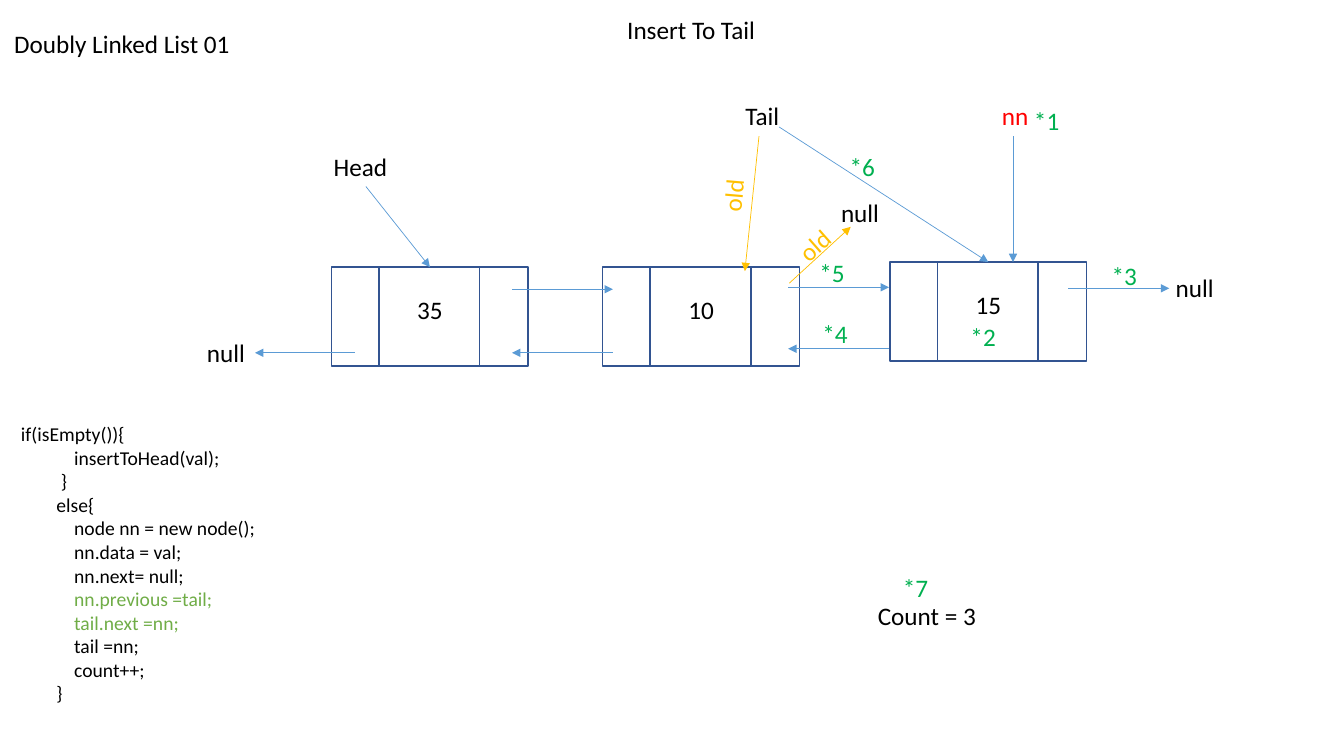
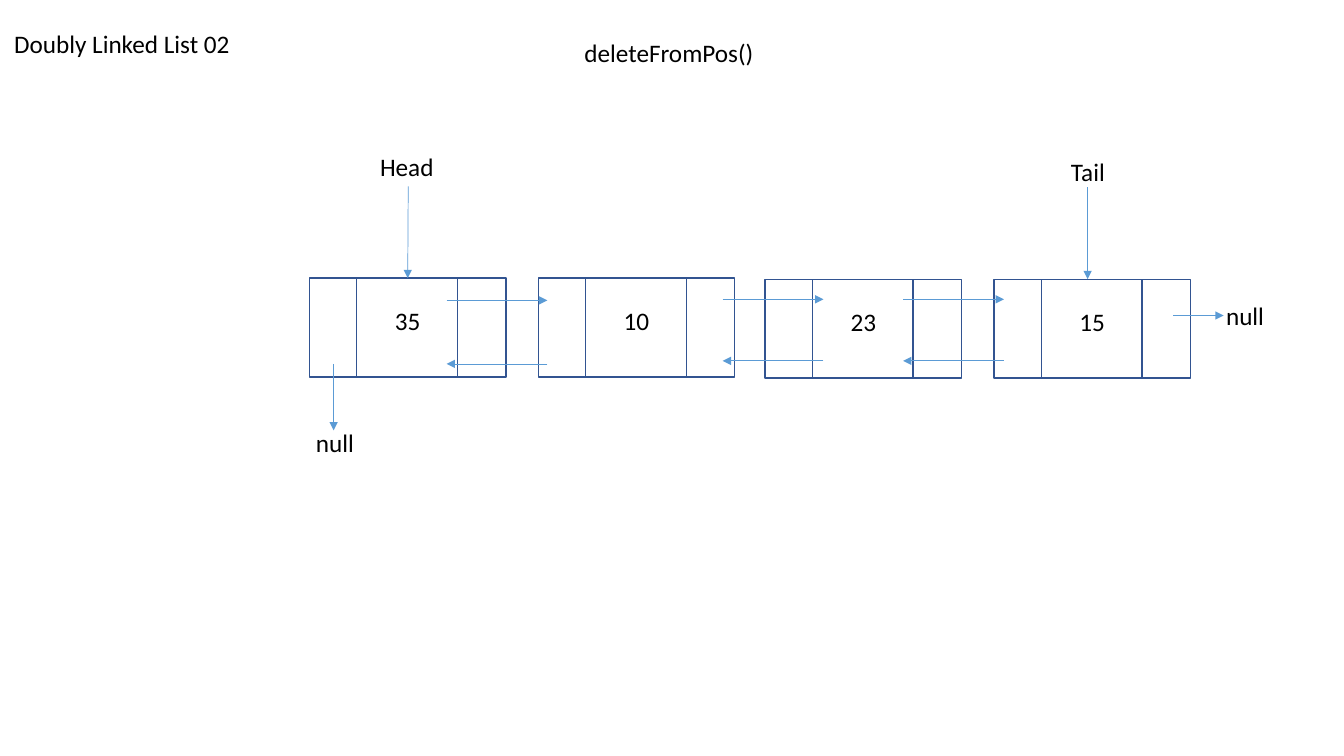
import pptx
import pptx.dml.color
import pptx.enum.shapes
import pptx.enum.text
import pptx.oxml
import pptx.oxml.ns
import pptx.util

RGBColor = pptx.dml.color.RGBColor
ALIGN = pptx.enum.text.PP_ALIGN
BLACK = RGBColor(0x00, 0x00, 0x00)
RED = RGBColor(0xFF, 0x00, 0x00)
GREEN = RGBColor(0x00, 0xB0, 0x50)
CODE_GREEN = RGBColor(0x70, 0xAD, 0x47)
ORANGE = RGBColor(0xFF, 0xC0, 0x00)
BLUE = RGBColor(0x5B, 0x9B, 0xD5)
NAVY = RGBColor(0x32, 0x54, 0x91)

TOP, BOTTOM, RIGHT = 0, 2, 3
PX = 9144

INSERT_CODE = """if(isEmpty()){
            insertToHead(val);
         }
        else{
            node nn = new node();
            nn.data = val;
            nn.next= null;
            nn.previous =tail;
            tail.next =nn;
            tail =nn;
            count++;
        }""".split("\n")
LINK_LINES = (7, 8)


class ListDiagram:
    """Draw linked-list diagrams in one style, slide by slide."""

    font_name = "Calibri"
    text_size = 18
    code_size = 14
    label_height = 40
    node_width, node_height = 195, 98
    link_length = 100

    def __init__(self, presentation):
        self.presentation = presentation
        self.slide = None

    def start_slide(self, title):
        layout = self.presentation.slide_layouts[5]
        self.slide = self.presentation.slides.add_slide(layout)
        shape = self.slide.shapes.title
        shape.left, shape.top, shape.width, shape.height = self.lengths(
            4, 23, 268, self.label_height)
        self.fill_frame(shape.text_frame, [title])

    def lengths(self, *values):
        return [pptx.util.Emu(value * PX) for value in values]

    def fill_frame(self, frame, lines, color=BLACK, align=ALIGN.LEFT, size=None):
        frame.word_wrap = True
        frame.auto_size = pptx.enum.text.MSO_AUTO_SIZE.NONE
        frame.vertical_anchor = pptx.enum.text.MSO_ANCHOR.TOP
        frame.text = "\n".join(lines)
        for paragraph in frame.paragraphs:
            paragraph.alignment = align
            paragraph.font.name = self.font_name
            paragraph.font.size = pptx.util.Pt(size or self.text_size)
            paragraph.font.color.rgb = color

    def label(self, text, left, top, width, color=BLACK, align=ALIGN.RIGHT,
              rotation=0, shapes=None):
        shapes = shapes or self.slide.shapes
        shape = shapes.add_textbox(
            *self.lengths(left, top, width, self.label_height))
        shape.rotation = rotation
        self.fill_frame(shape.text_frame, [text], color, align)
        return shape

    def step(self, number, left, top):
        self.label(f"*{number}", left, top, 50, GREEN, ALIGN.LEFT)

    def code(self, lines, highlighted, left, top, width, height):
        shape = self.slide.shapes.add_textbox(
            *self.lengths(left, top, width, height))
        self.fill_frame(shape.text_frame, lines, size=self.code_size)
        for index in highlighted:
            shape.text_frame.paragraphs[index].font.color.rgb = CODE_GREEN

    def box(self, shapes, left, top, width):
        shape = shapes.add_shape(
            pptx.enum.shapes.MSO_SHAPE.RECTANGLE,
            *self.lengths(left, top, width, self.node_height))
        shape.shadow.inherit = False
        shape.fill.background()
        shape.line.color.rgb = NAVY
        shape.line.width = pptx.util.Pt(1)
        return shape

    def node(self, value, left, top):
        shapes = self.slide.shapes.add_group_shape().shapes
        outline = self.box(shapes, left, top, self.node_width)
        self.box(shapes, left + 47, top, 100)
        self.label(str(value), left + 61, top + 22, 73,
                   align=ALIGN.CENTER, shapes=shapes)
        return outline

    def arrow(self, start, end, color=BLUE, begin_joint=None, end_joint=None):
        connector = self.slide.shapes.add_connector(
            pptx.enum.shapes.MSO_CONNECTOR.STRAIGHT, *self.lengths(*start, *end))
        if begin_joint:
            connector.begin_connect(*begin_joint)
        if end_joint:
            connector.end_connect(*end_joint)
        connector.line.color.rgb = color
        connector.line.width = pptx.util.Pt(0.5)
        line = connector.line._get_or_add_ln()
        head = pptx.oxml.ns.qn("a:tailEnd")
        line.append(line.makeelement(head, {"type": "triangle"}))
        effects = pptx.oxml.ns.qn("a:effectLst")
        connector._element.spPr.append(line.makeelement(effects, {}))

    def link_pair(self, left, next_top, previous_top):
        right = left + self.link_length
        self.arrow((left, next_top), (right, next_top))
        self.arrow((right, previous_top), (left, previous_top))


def draw_insert(diagram):
    diagram.start_slide("Doubly Linked List 01")
    diagram.label("Insert To Tail", 553, 9, 206)
    first = diagram.node(35, 329, 265)
    diagram.node(10, 598, 265)
    added = diagram.node(15, 883, 260)

    tail = diagram.label("Tail", 723, 95, 60)
    diagram.label("Head", 224, 145, 170)
    diagram.label("nn", 943, 95, 87, RED)
    before_first = diagram.label("null", 170, 330, 83)
    diagram.label("null", 1091, 265, 123)
    diagram.label("null", 759, 191, 123)
    diagram.label("old", 780, 224, 54, ORANGE, rotation=318.6)
    diagram.label("old", 700, 175, 54, ORANGE, rotation=274.8)

    diagram.arrow((363, 185), (426, 265), end_joint=(first, TOP))
    diagram.arrow((352, 350), (253, 350), end_joint=(before_first, RIGHT))
    diagram.arrow((753, 135), (739, 269), ORANGE, begin_joint=(tail, BOTTOM))
    diagram.arrow((783, 281), (844, 225), ORANGE)
    diagram.arrow((773, 126), (980, 260), end_joint=(added, TOP))
    diagram.arrow((1005, 135), (1005, 260))
    diagram.arrow((1060, 286), (1160, 286))
    diagram.link_pair(508, 287, 350)
    diagram.link_pair(782, 285, 346)

    step_places = [(1016, 100), (953, 314), (1093, 253), (806, 311),
                   (803, 250), (833, 145), (886, 563)]
    for number, place in enumerate(step_places, 1):
        diagram.step(number, *place)
    diagram.label("Count = 3", 861, 591, 151, align=ALIGN.LEFT)
    diagram.code(INSERT_CODE, LINK_LINES, 11, 414, 358, 293)


def draw_delete(diagram):
    diagram.start_slide("Doubly Linked List 02")
    diagram.label("deleteFromPos()", 570, 32, 215, align=ALIGN.LEFT)
    first = diagram.node(35, 307, 276)
    diagram.node(10, 534, 276)
    diagram.node(23, 759, 277)
    diagram.node(15, 986, 277)

    diagram.label("Head", 270, 145, 170)
    diagram.label("Tail", 1046, 150, 60)
    diagram.label("null", 278, 419, 83)
    diagram.label("null", 1201, 293, 63)

    diagram.arrow((405, 185), (405, 276), end_joint=(first, TOP))
    diagram.arrow((1079, 186), (1079, 277))
    diagram.arrow((331, 361), (331, 427))
    diagram.arrow((1164, 313), (1214, 313))
    for link in [(443, 298, 361), (717, 297, 358), (896, 297, 358)]:
        diagram.link_pair(*link)


def main():
    presentation = pptx.Presentation()
    presentation.slide_width = pptx.util.Emu(12192000)
    presentation.slide_height = pptx.util.Emu(6858000)
    diagram = ListDiagram(presentation)
    draw_insert(diagram)
    draw_delete(diagram)
    presentation.save("out.pptx")


if __name__ == "__main__":
    main()
